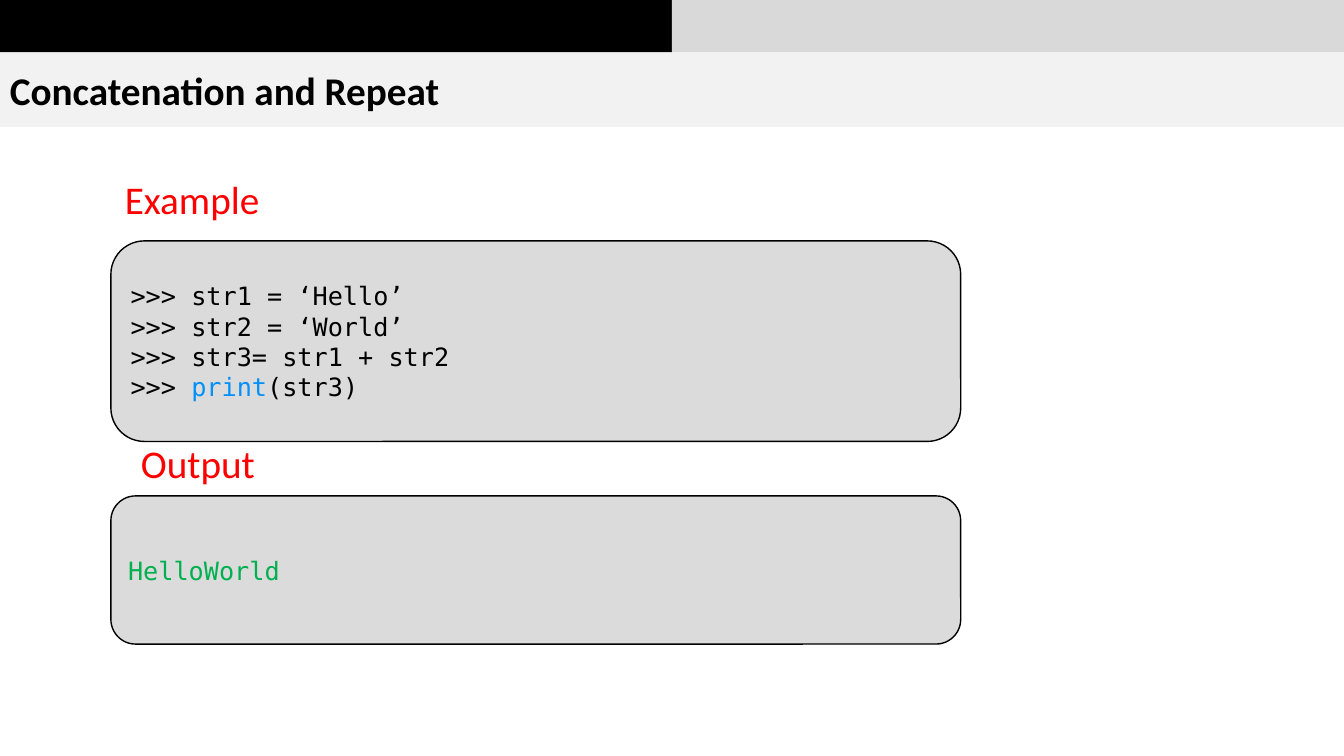
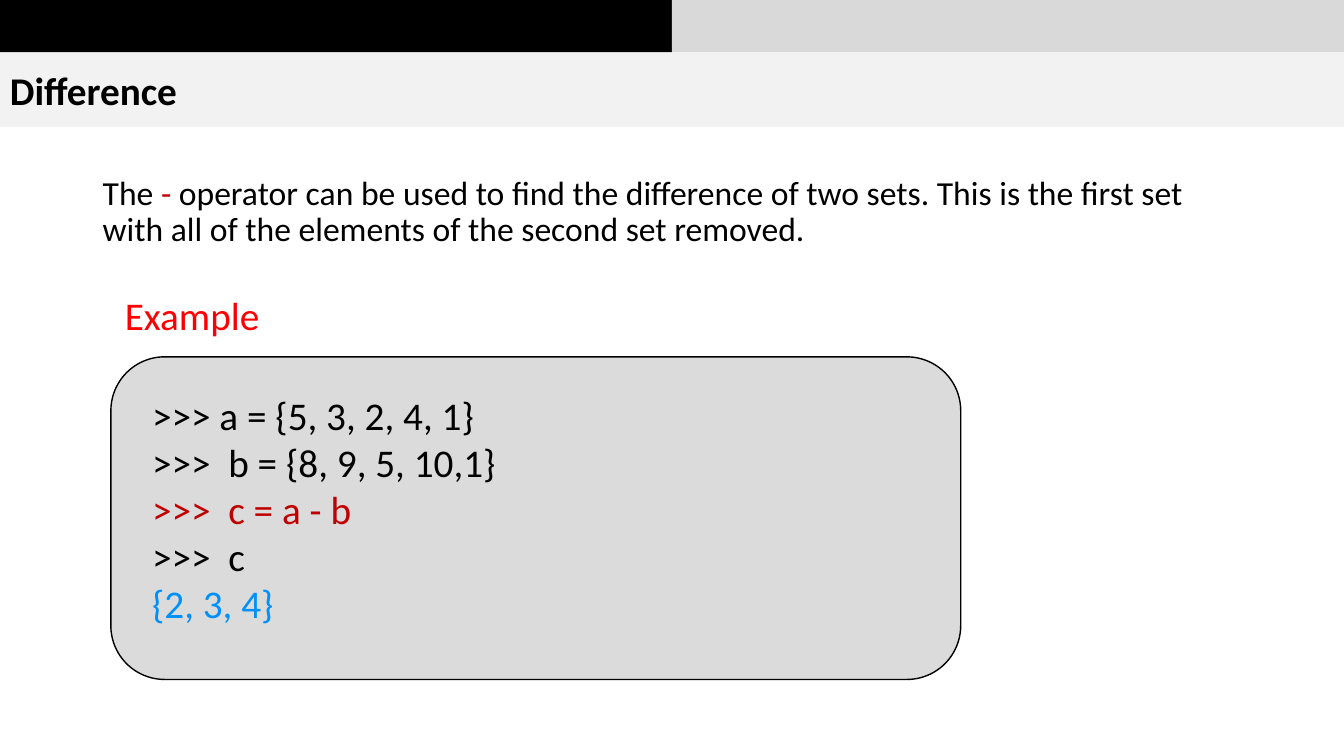
from dataclasses import dataclass

from pptx import Presentation
from pptx.dml.color import RGBColor
from pptx.enum.shapes import MSO_SHAPE as Preset
from pptx.enum.text import MSO_ANCHOR as Anchor, MSO_AUTO_SIZE as AutoSize, PP_ALIGN as Align
from pptx.util import Inches, Pt


@dataclass(frozen=True)
class Theme:
    black: str = "000000"
    bar: str = "D9D9D9"
    title_band: str = "F2F2F2"
    panel: str = "DBDBDB"
    label: str = "FF0000"
    accent: str = "C00000"
    blue: str = "0090FC"
    green: str = "00B050"
    body_font: str = "Calibri"
    code_font: str = "DejaVu Sans Mono"
    large: int = 28
    medium: int = 24
    small: int = 18


THEME = Theme()
BAR_HEIGHT, BAND_HEIGHT = 6.93, 9.87
PANEL_LEFT, PANEL_WIDTH = 8.25, 63.23
LABEL_HEIGHT = 7.6


def apply(target, values):
    for name, value in values.items():
        setattr(target, name, value)


class Deck:
    def __init__(self, theme):
        self.theme = theme
        self.presentation = Presentation()
        apply(self.presentation, {"slide_width": Inches(13.33), "slide_height": Inches(7.5)})
        self.slide = None

    def place(self, left, top, width, height):
        across = self.presentation.slide_width / 100
        down = self.presentation.slide_height / 100
        return [round(value) for value in (left * across, top * down, width * across, height * down)]

    def start(self, title):
        theme = self.theme
        self.slide = self.presentation.slides.add_slide(self.presentation.slide_layouts[6])
        for column, color in enumerate((theme.black, theme.bar)):
            self.block((50 * column, 0, 50, BAR_HEIGHT), color)
        band = self.block((0, BAR_HEIGHT, 100, BAND_HEIGHT), theme.title_band)
        self.fill_text(band, [title], bold=True)

    def block(self, area, color, preset=Preset.RECTANGLE, outlined=False):
        shape = self.slide.shapes.add_shape(preset, *self.place(*area))
        shape.shadow.inherit = False
        shape.fill.solid()
        shape.fill.fore_color.rgb = RGBColor.from_string(color)
        if outlined:
            shape.line.color.rgb = RGBColor.from_string(self.theme.black)
            shape.line.width = Pt(1)
        else:
            shape.line.fill.background()
        return shape

    def panel(self, top, height, lines=()):
        area = (PANEL_LEFT, top, PANEL_WIDTH, height)
        shape = self.block(area, self.theme.panel, Preset.ROUNDED_RECTANGLE, True)
        if lines:
            self.fill_text(shape, lines, size=self.theme.small, font=self.theme.code_font)

    def text(self, area, lines, frame=None, spacing=None, **font):
        box = self.slide.shapes.add_textbox(*self.place(*area))
        settings = {"word_wrap": True, "vertical_anchor": Anchor.TOP, **(frame or {})}
        self.fill_text(box, lines, settings, spacing, **font)

    def label(self, words, left, top, width):
        frame = {"word_wrap": False, "auto_size": AutoSize.SHAPE_TO_FIT_TEXT}
        self.text((left, top, width, LABEL_HEIGHT), [[(words, self.theme.label)]], frame)

    def example(self, panel_top):
        self.label("Example ", 8.55, panel_top - 9.33, 12.3)

    def fill_text(self, shape, lines, frame=None, spacing=None, size=None, font=None, bold=False):
        text_frame = shape.text_frame
        apply(text_frame, frame or {"word_wrap": True, "vertical_anchor": Anchor.MIDDLE})
        for index, line in enumerate(lines):
            paragraph = text_frame.add_paragraph() if index else text_frame.paragraphs[0]
            apply(paragraph, {"alignment": Align.LEFT, **(spacing or {})})
            for words, color in [(line, self.theme.black)] if isinstance(line, str) else line:
                run = paragraph.add_run()
                run.text = words
                apply(run.font, {
                    "name": font or self.theme.body_font,
                    "size": Pt(size or self.theme.large),
                    "bold": bold,
                })
                run.font.color.rgb = RGBColor.from_string(color)


def concatenation(deck):
    theme = deck.theme
    code_top = 31.87
    deck.start("Concatenation and Repeat")
    deck.panel(code_top, 26.53, [
        ">>> str1 = ‘Hello’",
        ">>> str2 = ‘World’",
        ">>> str3= str1 + str2",
        [(">>> ", theme.black), ("print", theme.blue), ("(str3)", theme.black)],
    ])
    deck.example(code_top)
    deck.panel(65.6, 19.6, [[("HelloWorld", theme.green)]])
    deck.label("Output", 9.75, 57.47, 10.05)


def difference(deck):
    theme = deck.theme
    code_top = 47.2
    deck.start("Difference")
    explanation = [
        ("The ", theme.black),
        ("-", theme.accent),
        (" operator can be used to find the difference of two sets. This is the first set "
         "with all of the elements of the second set removed. ", theme.black),
    ]
    deck.text((6.9, 22.67, 86.25, 63.47), [explanation], size=theme.medium,
              spacing={"line_spacing": 0.9, "space_before": Pt(10)})
    deck.panel(code_top, 42.67)
    deck.example(code_top)
    deck.text((10.58, 51.07, 46.65, 32.8), [
        ">>> a = {5, 3, 2, 4, 1}",
        ">>>  b = {8, 9, 5, 10,1}",
        [(">>>  c = a - b", theme.accent)],
        ">>>  c",
        [("{2, 3, 4}", theme.blue)],
    ], {"auto_size": AutoSize.SHAPE_TO_FIT_TEXT})


deck = Deck(THEME)
for build in (concatenation, difference):
    build(deck)
deck.presentation.save("out.pptx")
